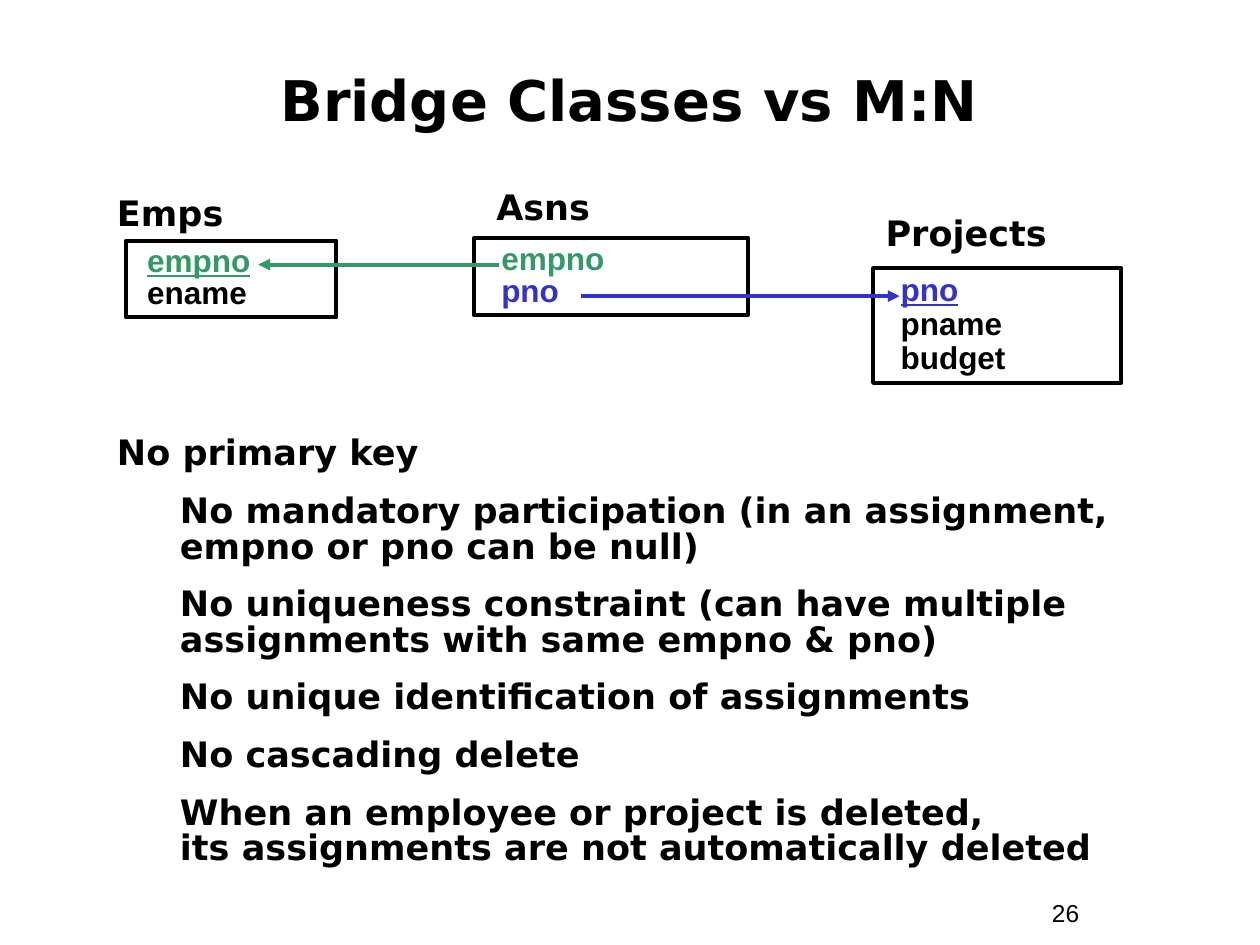
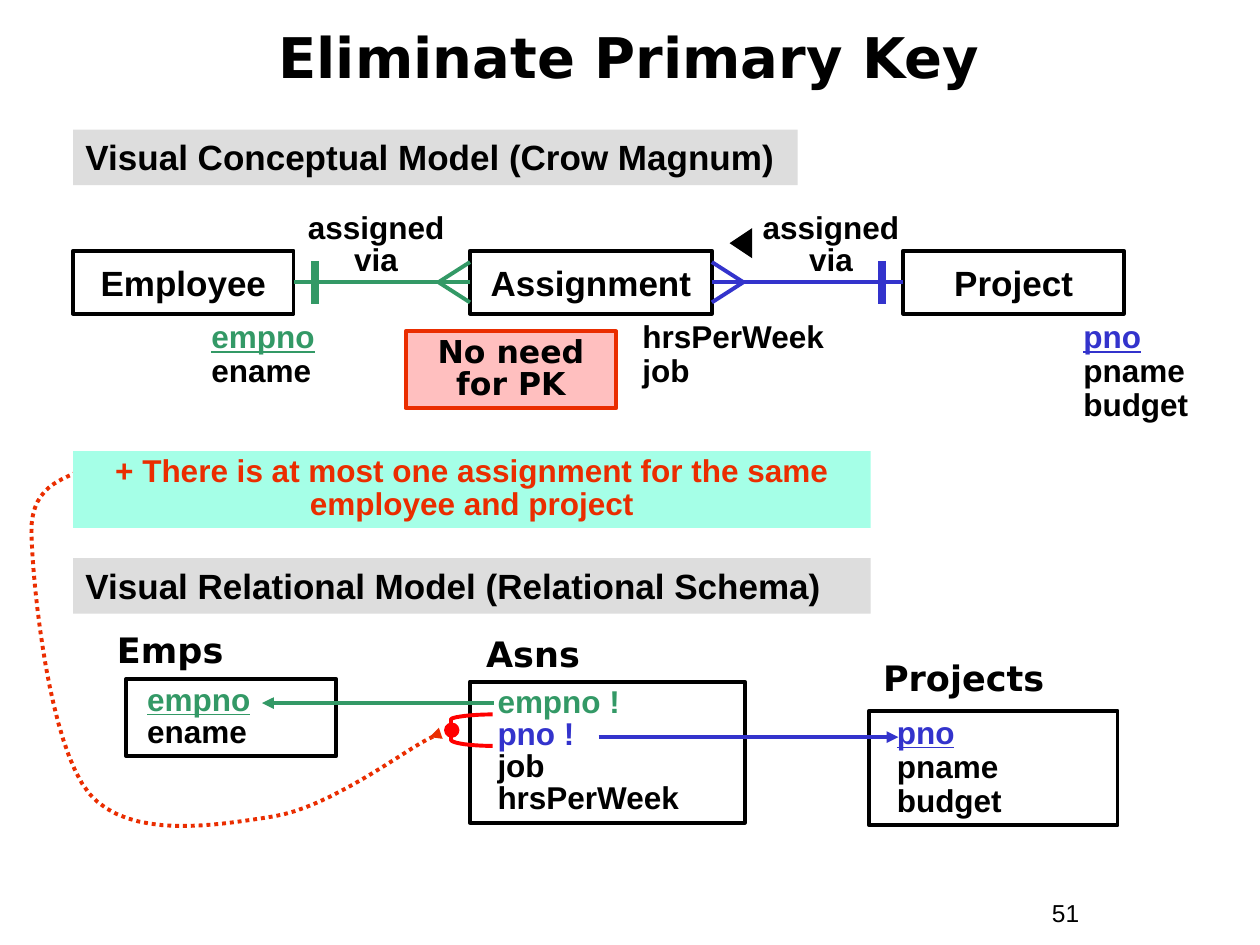
from lxml import etree
from pptx import Presentation
from pptx import util as u
from pptx.dml import color
from pptx.enum import dml, shapes, text
from pptx.oxml import ns

BLACK, GREEN, BLUE = "000000", "339966", "3333CC"
ORANGE, RED, GREY, AQUA, PINK = "EA2D00", "FF0000", "DDDDDD", "A5FFE7", "FFBFBF"
SANS, HEADING = "Arial", "DejaVu Sans"
LINE_WIDTH = 2.25
LEFT, CENTER = text.PP_ALIGN.LEFT, text.PP_ALIGN.CENTER
TOP, MIDDLE = text.MSO_ANCHOR.TOP, text.MSO_ANCHOR.MIDDLE
RECTANGLE = shapes.MSO_SHAPE.RECTANGLE
EMPLOYEE_ROWS = [("empno", GREEN, True), ("ename", BLACK, False)]
PROJECT_ROWS = [("pno", BLUE, True), ("pname", BLACK, False), ("budget", BLACK, False)]


def rgb(value):
    """Return the colour for a hex string."""
    return color.RGBColor.from_string(value)


def inches(*values):
    """Convert several numbers to inch lengths."""
    return [u.Inches(value) for value in values]


def write(shape, rows, size, font=SANS, bold=True, align=LEFT, anchor=TOP,
          spacing=1.0, before=0, indents=(0,)):
    """Write (text, colour, underline) rows, the last indent serving all later rows."""
    frame = shape.text_frame
    frame.word_wrap = True
    frame.vertical_anchor = anchor
    frame.text = "\n".join(row[0] for row in rows)
    for index, (paragraph, row) in enumerate(zip(frame.paragraphs, rows)):
        indent = indents[min(index, len(indents) - 1)]
        paragraph._p.get_or_add_pPr().set("marL", str(u.Inches(indent)))
        paragraph.alignment = align
        paragraph.line_spacing = spacing
        paragraph.space_before = u.Pt(before if index else 0)
        for run in paragraph.runs:
            run.font.name = font
            run.font.size = u.Pt(size)
            run.font.bold = bold
            run.font.underline = row[2]
            run.font.color.rgb = rgb(row[1])


def add_text(slide, box, rows, size, **style):
    """Add a text box; a plain string makes one black row."""
    shape = slide.shapes.add_textbox(*inches(*box))
    rows = [(rows, BLACK, False)] if isinstance(rows, str) else rows
    write(shape, rows, size, **style)


def paint(shape, fill=None, line=None):
    """Set the fill and outline of a shape and drop its shadow."""
    shape.shadow.inherit = False
    if fill:
        shape.fill.solid()
        shape.fill.fore_color.rgb = rgb(fill)
    else:
        shape.fill.background()
    if line:
        shape.line.color.rgb = rgb(line)
        shape.line.width = u.Pt(LINE_WIDTH)
    else:
        shape.line.fill.background()


def add_shape(slide, box, fill=None, line=None, kind=RECTANGLE):
    """Add a painted preset shape."""
    shape = slide.shapes.add_shape(kind, *inches(*box))
    paint(shape, fill, line)
    return shape


def add_arrowhead(shape):
    """Put a triangle at the end of a line."""
    line = shape.line._get_or_add_ln()
    etree.SubElement(line, ns.qn("a:tailEnd"), type="triangle")


def add_line(slide, start, end, colour, width=LINE_WIDTH, arrow=False):
    """Add a straight connector without a shadow."""
    connector = slide.shapes.add_connector(
        shapes.MSO_CONNECTOR.STRAIGHT, *inches(*start, *end))
    connector.line.color.rgb = rgb(colour)
    connector.line.width = u.Pt(width)
    etree.SubElement(connector._element.spPr, ns.qn("a:effectLst"))
    if arrow:
        add_arrowhead(connector)
    return connector


def bezier(start, first, second, end, steps=16):
    """Return points along a cubic curve, without its start."""
    points = []
    for step in range(1, steps + 1):
        t = step / steps
        weights = ((1 - t) ** 3, 3 * t * (1 - t) ** 2, 3 * t * t * (1 - t), t ** 3)
        points.append(tuple(
            sum(weight * value for weight, value in zip(weights, axis))
            for axis in zip(start, first, second, end)))
    return points


def add_curve(slide, start, segments, colour):
    """Draw joined cubic curves as one open outline."""
    points = [start]
    for segment in segments:
        points += bezier(points[-1], *segment)
    points = [inches(*point) for point in points]
    builder = slide.shapes.build_freeform(*points[0])
    builder.add_line_segments(points[1:], close=False)
    curve = builder.convert_to_shape()
    paint(curve, line=colour)
    return curve


def add_frame(presentation, title, number, top, height, spacing=1.0):
    """Add a slide with its title and page number."""
    slide = presentation.slides.add_slide(presentation.slide_layouts[6])
    add_text(slide, (8.25, 7.08, 0.92, 0.34), number, 14, bold=False)
    add_text(slide, (0.33, top, 9.33, height), title, 32, font=HEADING,
             align=CENTER, anchor=MIDDLE, spacing=spacing)
    return slide


def add_relation(slide, name, box, offset, rows, indent=0.12, spacing=0.85):
    """Draw a relation box with its name placed by offset from the corner."""
    left, top = box[:2]
    add_text(slide, (left + offset[0], top + offset[1], 2.15, 0.44), name, 20, font=HEADING)
    shape = add_shape(slide, box, line=BLACK)
    write(shape, rows, 18, spacing=spacing, indents=(indent,))


def add_schema(slide, emps, asns, projects, offsets, asns_rows):
    """Draw the three relations of the schema."""
    add_relation(slide, "Asns", (*asns[:2], 2.18, asns[2]), offsets[1], asns_rows)
    add_relation(slide, "Projects", (*projects, 1.97, 0.91), offsets[2], PROJECT_ROWS, spacing=0.9)
    add_relation(slide, "Emps", (*emps, 1.67, 0.61), offsets[0], EMPLOYEE_ROWS, indent=0.07)


def add_entity(slide, name, left, width, top=1.99):
    """Draw an entity box of the conceptual model."""
    entity = add_shape(slide, (left, top, width, 0.5), line=BLACK)
    write(entity, [(name, BLACK, False)], 20, align=CENTER, anchor=MIDDLE)
    return entity


def add_association(slide, one, many, colour):
    """Join two entities with a bar at one end and a crow's foot at the other."""
    rightward = one.left < many.left
    sign = 1 if rightward else -1
    one_edge = (one.left + one.width * rightward) / u.Inches(1)
    many_edge = (many.left + many.width * (not rightward)) / u.Inches(1)
    middle = (one.top + one.height / 2) / u.Inches(1)
    spine = add_line(slide, (one_edge, middle), (many_edge, middle), colour)
    spine.begin_connect(one, 3 if rightward else 1)
    spine.end_connect(many, 1 if rightward else 3)
    bar = one_edge + sign * 0.17
    add_line(slide, (bar, middle - 0.17), (bar, middle + 0.17), colour, width=4.5)
    for side in (-0.16, 0.16):
        add_line(slide, (many_edge - sign * 0.25, middle), (many_edge, middle + side), colour)


def add_conceptual_model(slide):
    """Draw entities, associations and attributes."""
    employee = add_entity(slide, "Employee", 0.58, 1.75)
    assignment = add_entity(slide, "Assignment", 3.73, 1.92)
    project = add_entity(slide, "Project", 7.17, 1.75)
    add_association(slide, employee, assignment, GREEN)
    add_association(slide, project, assignment, BLUE)
    for left in (2.32, 5.93):
        add_text(slide, (left, 1.65, 1.33, 0.61), "assigned via", 18, align=CENTER, spacing=0.85)
    pointer = add_shape(slide, (5.76, 1.84, 0.24, 0.18), BLACK,
                        kind=shapes.MSO_SHAPE.ISOSCELES_TRIANGLE)
    pointer.rotation = 270
    assignment_rows = [("hrsPerWeek", BLACK, False), ("job", BLACK, False)]
    for left, width, rows in ((1.58, 1.5, EMPLOYEE_ROWS), (5, 1.75, assignment_rows),
                              (8.5, 1.17, PROJECT_ROWS)):
        add_text(slide, (left, 2.5, width, 0.3 * len(rows)), rows, 18, spacing=0.9)


def add_callout(slide, box, words, colour, fill, line=None, font=SANS):
    """Add a filled note with centred text."""
    note = add_shape(slide, box, fill, line)
    write(note, [(words, colour, False)], 18, font=font, align=CENTER, spacing=0.85)


def add_band(slide, words, top, width):
    """Add a grey section heading."""
    band = add_shape(slide, (0.58, top, width, 0.44), GREY)
    write(band, [(words, BLACK, False)], 20)


def add_constraint(slide):
    """Draw the dotted link from the rule to the bracketed key pair."""
    link = add_curve(slide, (0.66, 3.71), [
        ((0.59, 3.8), (0.24, 3.8), (0.25, 4.23)),
        ((0.26, 4.66), (0.39, 5.92), (0.71, 6.3)),
        ((1.03, 6.67), (1.72, 6.55), (2.17, 6.48)),
        ((2.61, 6.41), (3.18, 5.98), (3.39, 5.87)),
        ((3.59, 5.77), (3.4, 5.86), (3.41, 5.85))], ORANGE)
    link.line.dash_style = dml.MSO_LINE.ROUND_DOT
    add_arrowhead(link)
    add_callout(slide, (0.58, 3.58, 6.33, 0.61),
                "+ There is at most one assignment for the same employee and project", ORANGE, AQUA)
    add_curve(slide, (3.91, 5.67), [
        ((3.75, 5.67), (3.58, 5.69), (3.58, 5.71)),
        ((3.58, 5.76), (3.58, 5.82), (3.58, 5.87)),
        ((3.58, 5.9), (3.75, 5.92), (3.91, 5.92))], RED)
    add_shape(slide, (3.54, 5.75, 0.09, 0.09), RED, RED, shapes.MSO_SHAPE.OVAL)


def build_bridge_slide(presentation):
    """Build the slide on bridge classes."""
    slide = add_frame(presentation, "Bridge Classes vs M:N", "26", 0.33, 0.92)
    add_schema(slide, (1, 1.91), (3.76, 1.89, 0.61), (6.93, 2.13),
               [(-0.17, -0.44), (0.08, -0.47), (0, -0.5)],
               [("empno", GREEN, False), ("pno", BLUE, False)])
    add_line(slide, (3.96, 2.1), (2.05, 2.1), GREEN, arrow=True)
    add_line(slide, (4.61, 2.35), (7.14, 2.35), BLUE, arrow=True)
    points = [
        "No primary key",
        "No mandatory participation (in an assignment, empno or pno can be null)",
        "No uniqueness constraint (can have multiple assignments with same empno & pno)",
        "No unique identification of assignments",
        "No cascading delete",
        "When an employee or project is deleted,\vits assignments are not automatically deleted",
    ]
    add_text(slide, (0.83, 3.42, 8.25, 3.52), [(point, BLACK, False) for point in points],
             20, font=HEADING, spacing=0.85, before=12.5, indents=(0, 0.5))


def build_key_slide(presentation):
    """Build the slide on eliminating the primary key."""
    slide = add_frame(presentation, "Eliminate Primary Key", "51", 0.11, 0.75, spacing=0.85)
    add_conceptual_model(slide)
    add_schema(slide, (1, 5.39), (3.73, 5.41, 1.12), (6.9, 5.64),
               [(-0.17, -0.45), (0.03, -0.44), (0.01, -0.48)],
               [("empno !", GREEN, False), ("pno !", BLUE, False),
                ("job", BLACK, False), ("hrsPerWeek", BLACK, False)])
    add_line(slide, (3.92, 5.58), (2.08, 5.58), GREEN, arrow=True)
    add_line(slide, (4.75, 5.85), (7.13, 5.85), BLUE, arrow=True)
    add_band(slide, "Visual Conceptual Model (Crow Magnum)", 1.03, 5.75)
    add_band(slide, "Visual Relational Model (Relational Schema)", 4.43, 6.33)
    add_constraint(slide)
    add_callout(slide, (3.22, 2.63, 1.67, 0.61), "No need for PK", BLACK, PINK, ORANGE, HEADING)


def main():
    """Build and save the presentation."""
    presentation = Presentation()
    presentation.slide_width, presentation.slide_height = inches(10, 7.5)
    build_bridge_slide(presentation)
    build_key_slide(presentation)
    presentation.save("out.pptx")


if __name__ == "__main__":
    main()
